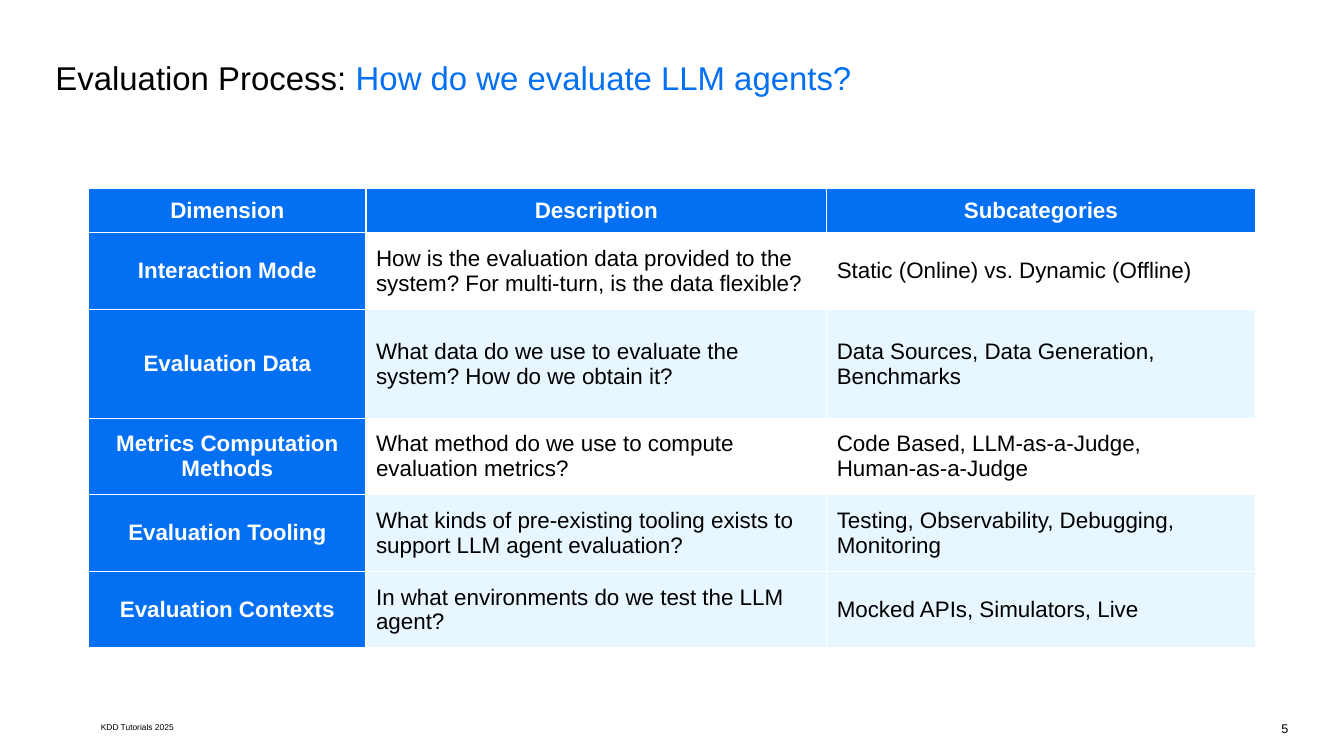
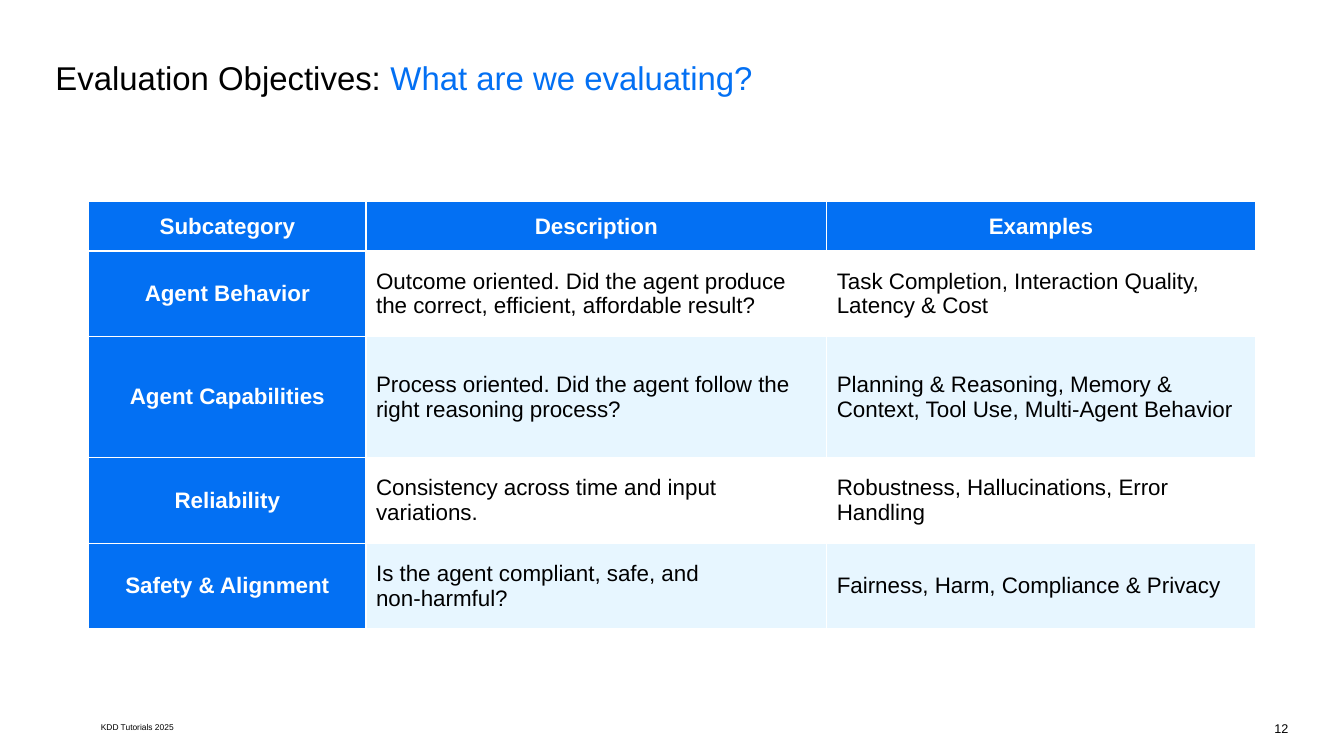
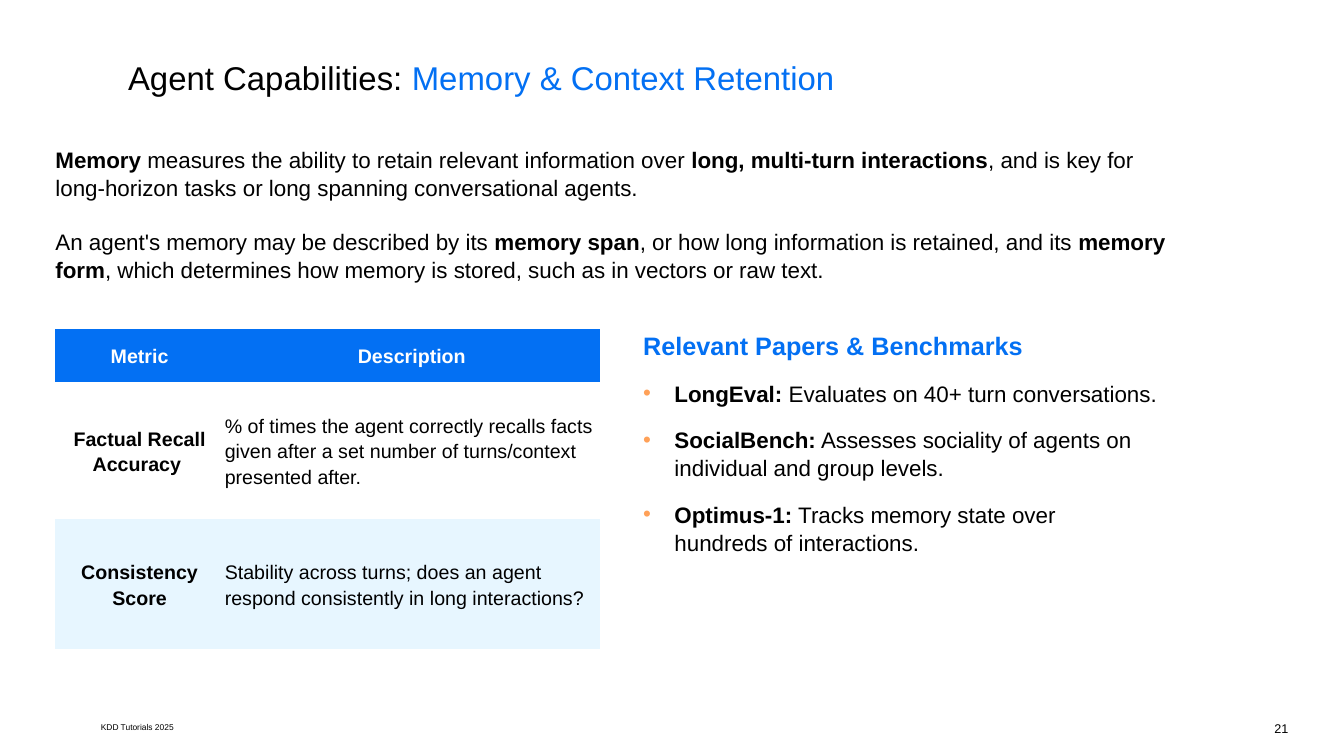
import pptx
import pptx.util
import pptx.dml.color
import pptx.enum.text
import pptx.oxml
import pptx.oxml.ns

Inches, Pt = pptx.util.Inches, pptx.util.Pt
RGBColor = pptx.dml.color.RGBColor
ALIGN, ANCHOR = pptx.enum.text.PP_ALIGN, pptx.enum.text.MSO_ANCHOR

BLACK = RGBColor(0x00, 0x00, 0x00)
WHITE = RGBColor(0xFF, 0xFF, 0xFF)
BLUE = RGBColor(0x03, 0x70, 0xF3)
PALE = RGBColor(0xE7, 0xF6, 0xFF)
ORANGE = RGBColor(0xFF, 0xA1, 0x58)
FONT = "Arial"
NO_GRID = "{2D5ABB26-0587-4C30-8999-92F81FD0307C}"


class Deck:
    """Tutorial slides that share a two-colour title, a footer and table styles."""

    def __init__(self):
        self.prs = pptx.Presentation()
        self.prs.slide_width, self.prs.slide_height = Inches(13.33), Inches(7.5)
        self.s = None

    def add_element(self, parent, tag, body="", attrs=""):
        ns = pptx.oxml.ns.nsdecls("a")
        parent.append(pptx.oxml.parse_xml(f"<a:{tag} {ns} {attrs}>{body}</a:{tag}>"))

    def add_runs(self, p, runs, size, color=BLACK, align=ALIGN.LEFT, spacing=1.05, before=0):
        p.alignment, p.line_spacing, p.space_before = align, spacing, Pt(before)
        for text, bold, *own in runs:
            for i, line in enumerate(text.split("\n")):
                if i:
                    p.add_line_break()
                r = p.add_run()
                r.text = line
                r.font.name, r.font.size, r.font.bold = FONT, Pt(size), bold
                r.font.color.rgb = own[0] if own else color

    def frame(self, tf, anchor=ANCHOR.TOP):
        tf.margin_left = tf.margin_right = tf.margin_top = tf.margin_bottom = 0
        tf.word_wrap, tf.vertical_anchor = True, anchor
        tf.auto_size = pptx.enum.text.MSO_AUTO_SIZE.NONE
        return tf

    def box(self, x, y, w, h, anchor=ANCHOR.TOP):
        sp = self.s.shapes.add_textbox(Inches(x), Inches(y), Inches(w), Inches(h))
        return self.frame(sp.text_frame, anchor)

    def slide(self, number, topic, focus, left=0.55):
        self.s = self.prs.slides.add_slide(self.prs.slide_layouts[5])
        sp = self.s.shapes.title
        sp.left, sp.top, sp.width, sp.height = map(Inches, (left, 0.55, 12.23, 0.4))
        p = self.frame(sp.text_frame).paragraphs[0]
        self.add_runs(p, [(topic + " ", False), (focus, False, BLUE)], 23.5)
        footer = self.box(1, 7.09, 0.92, 0.25, ANCHOR.MIDDLE)
        self.add_runs(footer.paragraphs[0], [("KDD Tutorials 2025", False)], 6)
        page = self.box(12.28, 7.15, 0.5, 0.15)
        self.add_runs(page.paragraphs[0], [(str(number), False)], 9,
                      align=ALIGN.RIGHT, spacing=1)

    def paragraphs(self, tf, paras, size, before):
        for i, runs in enumerate(paras):
            p = tf.add_paragraph() if i else tf.paragraphs[0]
            self.add_runs(p, runs, size, before=before if i else 0)

    def bullets(self, x, y, w, h, heading, items):
        tf = self.box(x, y, w, h)
        self.add_runs(tf.paragraphs[0], [(heading, True, BLUE)], 18)
        for name, text in items:
            p = tf.add_paragraph()
            pPr = p._p.get_or_add_pPr()
            pPr.set("marL", str(Inches(0.31)))
            pPr.set("indent", str(-Inches(0.31)))
            self.add_element(pPr, "buClr", f'<a:srgbClr val="{ORANGE}"/>')
            self.add_element(pPr, "buFont", attrs=f'typeface="{FONT}"')
            self.add_element(pPr, "buChar", attrs='char="•"')
            self.add_runs(p, [(name, True), (" " + text, False)], 16, before=13)

    def table(self, x, y, cols, heights, rows, tinted, size=16, spacing=1,
              label_fill=BLUE, margin=None, grid=True):
        shape = self.s.shapes.add_table(len(rows), len(cols), Inches(x), Inches(y),
                                        Inches(sum(cols)), Inches(sum(heights)))
        tbl = shape.table
        tbl.first_row = tbl.horz_banding = False
        tbl._tbl.tblPr[0].text = NO_GRID
        for col, w in zip(tbl.columns, cols):
            col.width = Inches(w)
        for i, (row, h) in enumerate(zip(rows, heights)):
            tbl.rows[i].height = Inches(h)
            for j, text in enumerate(row):
                fill = PALE if i in tinted else WHITE
                if i == 0:
                    fill = BLUE
                elif j == 0 and label_fill:
                    fill = label_fill
                self.cell(tbl.cell(i, j), text, fill, i == 0 or j == 0,
                          size, spacing, margin, grid)

    def cell(self, cell, text, fill, head, size, spacing, margin, grid):
        cell.vertical_anchor = ANCHOR.MIDDLE
        if margin is not None:
            cell.margin_left = cell.margin_right = Inches(margin)
            cell.margin_top = cell.margin_bottom = Inches(margin)
        if grid:
            for side in ("lnL", "lnR", "lnT", "lnB"):
                line = f'<a:solidFill><a:srgbClr val="{WHITE}"/></a:solidFill>'
                self.add_element(cell._tc.get_or_add_tcPr(), side, line, f'w="{Pt(1)}"')
        cell.fill.solid()
        cell.fill.fore_color.rgb = fill
        self.add_runs(cell.text_frame.paragraphs[0], [(text, head)], size,
                      WHITE if fill == BLUE else BLACK,
                      ALIGN.CENTER if head else ALIGN.LEFT, spacing)


def main():
    deck = Deck()
    wide = (2.75, 4.57, 4.25)

    deck.slide(5, "Evaluation Process:", "How do we evaluate LLM agents?")
    deck.table(0.88, 1.87, wide, (0.44, 0.76, 1.08, 0.76, 0.76, 0.76), [
        ("Dimension", "Description", "Subcategories"),
        ("Interaction Mode",
         "How is the evaluation data provided to the system? For multi-turn, is the data flexible?",
         "Static (Online) vs. Dynamic (Offline)"),
        ("Evaluation Data", "What data do we use to evaluate the system? How do we obtain it?",
         "Data Sources, Data Generation, Benchmarks"),
        ("Metrics Computation Methods", "What method do we use to compute evaluation metrics?",
         "Code Based, LLM-as-a-Judge, \nHuman-as-a-Judge"),
        ("Evaluation Tooling",
         "What kinds of pre-existing tooling exists to support LLM agent evaluation?",
         "Testing, Observability, Debugging, Monitoring"),
        ("Evaluation Contexts", "In what environments do we test the LLM agent?",
         "Mocked APIs, Simulators, Live"),
    ], tinted=(2, 4, 5))

    deck.slide(12, "Evaluation Objectives:", "What are we evaluating?")
    deck.table(0.88, 2, wide, (0.49, 0.85, 1.2, 0.85, 0.85), [
        ("Subcategory", "Description", "Examples"),
        ("Agent Behavior",
         "Outcome oriented. Did the agent produce the correct, efficient, affordable result?",
         "Task Completion, Interaction Quality, Latency & Cost"),
        ("Agent Capabilities",
         "Process oriented. Did the agent follow the right reasoning process?",
         "Planning & Reasoning, Memory & Context, Tool Use, Multi-Agent Behavior"),
        ("Reliability", "Consistency across time and input variations.",
         "Robustness, Hallucinations, Error Handling"),
        ("Safety & Alignment", "Is the agent compliant, safe, and \nnon-harmful?",
         "Fairness, Harm, Compliance & Privacy"),
    ], tinted=(2, 4))

    deck.slide(21, "Agent Capabilities:", "Memory & Context Retention", left=1.27)
    deck.paragraphs(deck.box(0.55, 1.44, 11.24, 1.5), [
        [("Memory ", True),
         ("measures the ability to retain relevant information over ", False),
         ("long, multi-turn interactions", True),
         (", and is key for long-horizon tasks or long spanning conversational agents.", False)],
        [("An agent's memory may be described by its ", False), ("memory span", True),
         (", or how long information is retained, and its ", False), ("memory form", True),
         (", which determines how memory is stored, such as in vectors or raw text.", False)],
    ], 16, before=18)
    deck.table(0.55, 3.26, (1.67, 3.73), (0.53, 1.36, 1.29), [
        ("Metric", "Description"),
        ("Factual Recall Accuracy ",
         "% of times the agent correctly recalls facts given after a set number of "
         "turns/context presented after."),
        ("Consistency Score",
         "Stability across turns; does an agent respond consistently in long interactions?"),
    ], tinted=(2,), size=14, spacing=1.15, label_fill=None, margin=0.01, grid=False)
    deck.bullets(6.38, 3.26, 5.4, 3.1, "Relevant Papers & Benchmarks", [
        ("LongEval:", "Evaluates on 40+ turn conversations."),
        ("SocialBench:", "Assesses sociality of agents on individual and group levels."),
        ("Optimus-1:", "Tracks memory state over \nhundreds of interactions."),
    ])
    deck.prs.save("out.pptx")


if __name__ == "__main__":
    main()
